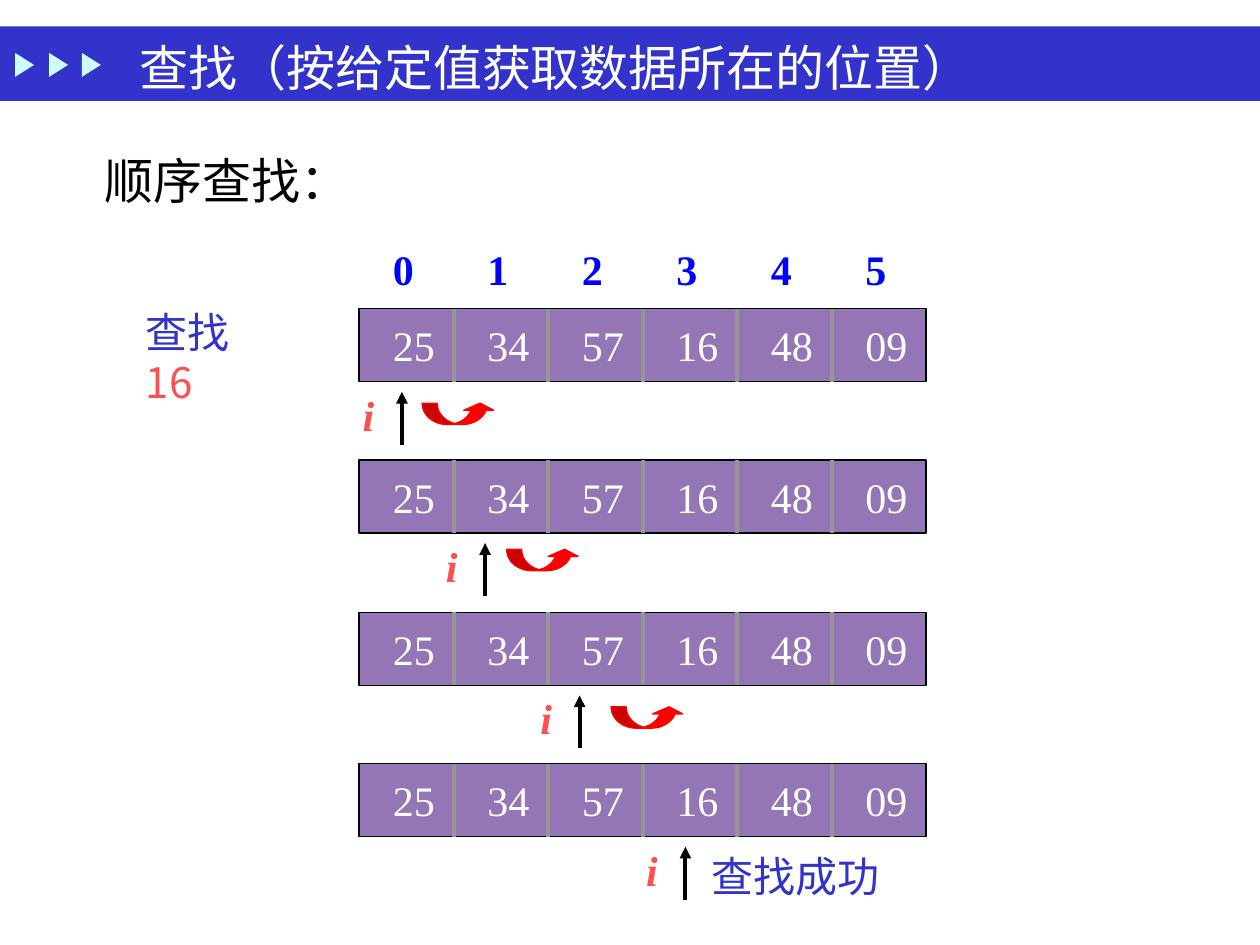
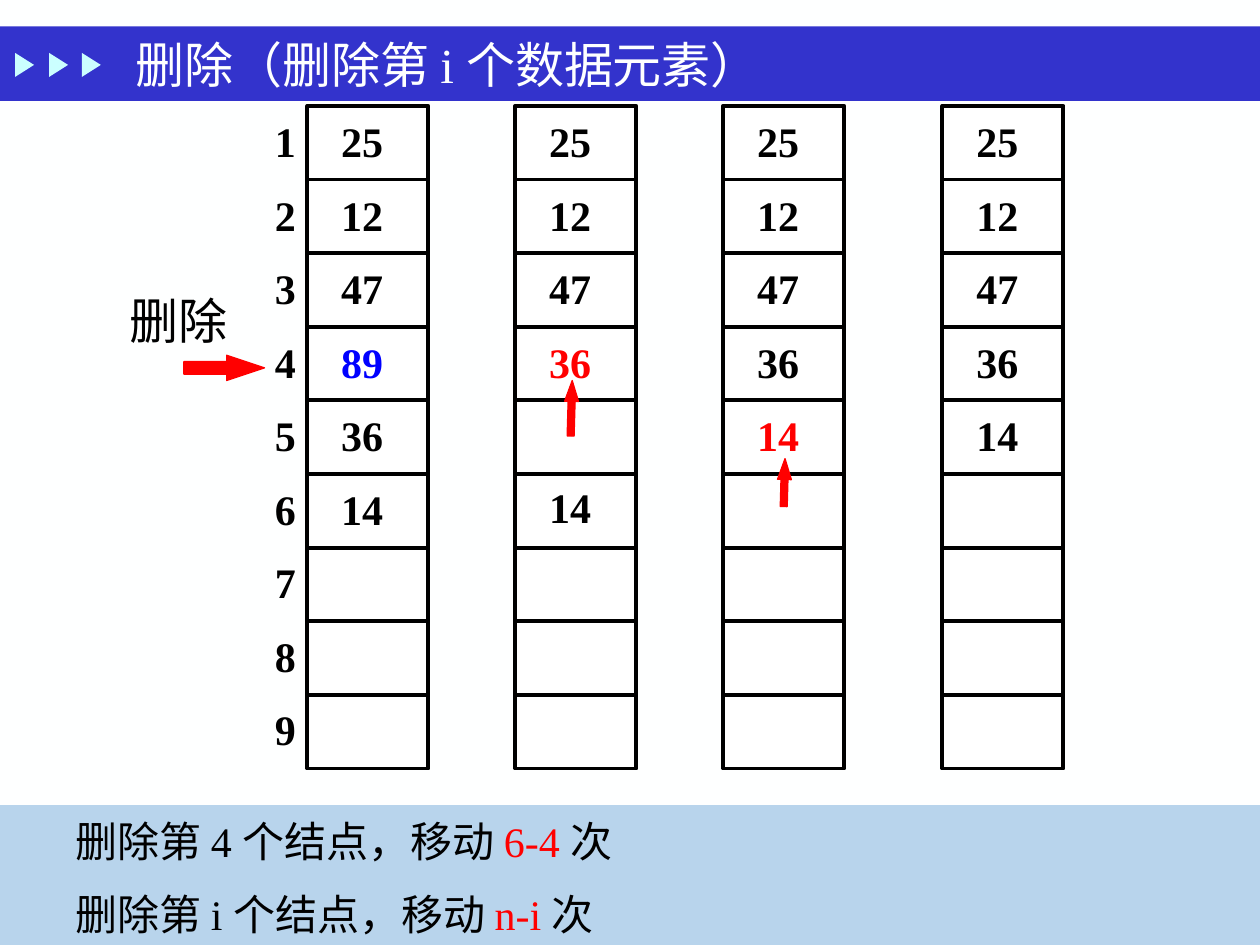
from lxml import etree
from pptx import Presentation
from pptx import util as u
from pptx.dml.color import RGBColor
from pptx.enum import shapes, text
from pptx.oxml import ns

SCALE = 9144
WHITE, BLACK, RED, BLUE = "FEFFFF", "000000", "FF0000", "0000FF"
BAND, MARK, CORAL, GREY = "3333CC", "CBFFFF", "FF5050", "969696"
PURPLE, PALE = "9476B6", "B8D4EC"
SERIF, SANS = "Times New Roman", "Noto Sans CJK SC"
LINE_PITCH, SPACE = 40.9, 13.2
KIND = shapes.MSO_SHAPE


def px(length):
    return u.Emu(round(length * SCALE))


def rgb(value):
    return RGBColor.from_string(value)


class Board:
    """Hold the shared style and draw elements on the current slide."""

    def __init__(self):
        self.deck = Presentation()
        self.deck.slide_width, self.deck.slide_height = px(1000), px(750)
        self.page = None

    def new_page(self, title, left, top):
        self.page = self.deck.slides.add_slide(self.deck.slide_layouts[6])
        background = self.page.background.fill
        background.solid()
        background.fore_color.rgb = rgb(WHITE)
        self.shape(KIND.RECTANGLE, 0, 21, 1000, 59, BAND)
        for mark_left in (10, 37, 63):
            mark = self.shape(KIND.ISOSCELES_TRIANGLE, mark_left, 44, 19, 15, MARK)
            mark.rotation = 90
        self.text(left, top, 800, 56, [title], 28, WHITE, middle=True)

    def shape(self, kind, left, top, width, height, fill, line=None, weight=0.75, adjust=()):
        shape = self.page.shapes.add_shape(kind, px(left), px(top), px(width), px(height))
        shape.shadow.inherit = False
        shape.fill.solid()
        shape.fill.fore_color.rgb = rgb(fill)
        if line:
            shape.line.color.rgb = rgb(line)
            shape.line.width = u.Pt(weight)
        else:
            shape.line.fill.background()
        for index, value in enumerate(adjust):
            shape.adjustments[index] = value
        return shape

    def line(self, start, end, color, arrow=False):
        line = self.page.shapes.add_connector(
            shapes.MSO_CONNECTOR.STRAIGHT, *(px(value) for value in (*start, *end)))
        line.line.color.rgb = rgb(color)
        line.line.width = u.Pt(2.25)
        if arrow:
            etree.SubElement(line.line._get_or_add_ln(), ns.qn("a:tailEnd"), type="triangle")
        etree.SubElement(line._element.spPr, ns.qn("a:effectLst"))

    def paragraph(self, para, spans, size, color, font=SERIF, bold=False, italic=False):
        spans = [(spans, color)] if isinstance(spans, str) else spans
        para.font.size, para.font.name = u.Pt(size), font
        para.font.bold, para.font.italic = bold, italic
        para.font.color.rgb = rgb(color)
        for content, span_color in spans:
            span = para.add_run()
            span.text = content
            if span_color != color:
                span.font.color.rgb = rgb(span_color)

    def text(self, left, top, width, height, paras, size, color, middle=False,
             wrap=True, center=False, spaces=None, tabs=(), **style):
        box = self.page.shapes.add_textbox(px(left), px(top), px(width), px(height))
        frame = box.text_frame
        frame.word_wrap = wrap
        if middle:
            frame.vertical_anchor = text.MSO_ANCHOR.MIDDLE
        for index, spans in enumerate(paras):
            para = frame.add_paragraph() if index else frame.paragraphs[0]
            if center:
                para.alignment = text.PP_ALIGN.CENTER
            if spaces and index:
                para.space_before = u.Pt(spaces[index])
            if tabs:
                stops = etree.SubElement(para._p.get_or_add_pPr(), ns.qn("a:tabLst"))
                for stop in tabs:
                    etree.SubElement(stops, ns.qn("a:tab"), pos=str(px(stop)), algn="l")
            self.paragraph(para, spans, size, color, **style)
        return box

    def cell_text(self, top, values, color, bold=False):
        stops = [75 * index for index in range(1, len(values))]
        self.text(302, top, 449, 51, ["\t".join(values)], 24, color, tabs=stops, bold=bold)

    def array_row(self, top, values):
        self.shape(KIND.RECTANGLE, 285, top, 450, 58, PURPLE, BLACK)
        self.cell_text(top + 4, values, WHITE)
        for index in range(1, len(values)):
            x = 285 + 75 * index
            self.line((x, top), (x, top + 58), GREY)

    def pointer(self, x, top):
        self.line((x, top + 108), (x, top + 66), BLACK, arrow=True)
        self.text(x - 41, top + 59, 30, 51, ["i"], 24, CORAL, wrap=False, bold=True, italic=True)

    def number_column(self, left, values, accents=None):
        accents = accents or {}
        paras, spaces, gap = [], [], SPACE
        for value in values:
            if value is None:
                gap += LINE_PITCH
                continue
            paras.append([(str(value), accents.get(value, BLACK))])
            spaces.append(gap)
            gap = SPACE
        self.text(left, 87, 87, 353, paras, 24, BLACK, center=True, spaces=spaces, bold=True)

    def storage(self, left, values, accents=None):
        self.shape(KIND.RECTANGLE, left, 84, 96, 526, "FFFFFF", BLACK, 2.25)
        for index in range(1, 9):
            y = 84 + 526 * index / 9
            self.line((left, y), (left + 96, y), BLACK)
        self.number_column(left, values, accents)

    def move_up(self, left, top, height):
        arrow = self.shape(KIND.DOWN_ARROW, left, top, 11, height, RED, RED, adjust=(0.5, 1.5))
        arrow.rotation = 181.6

    def summary(self, paras):
        band = self.shape(KIND.RECTANGLE, 0, 639, 1000, 111, PALE)
        frame = band.text_frame
        frame.vertical_anchor = text.MSO_ANCHOR.TOP
        frame.margin_left, frame.margin_top = px(60), px(8)
        for index, spans in enumerate(paras):
            para = frame.add_paragraph() if index else frame.paragraphs[0]
            para.alignment = text.PP_ALIGN.LEFT
            if index:
                para.space_before = u.Pt(SPACE)
            self.paragraph(para, spans, 24, BLACK)


def search_page(board):
    board.new_page("查找（按给定值获取数据所在的位置）", 101, 25)
    board.text(73, 101, 220, 83, ["顺序查找："], 28, BLACK, middle=True)
    board.cell_text(188, "012345", BLUE, bold=True)
    board.text(106, 238, 137, 90, ["查找", [("16", CORAL)]], 24, BAND, font=SANS)
    values = ["25", "34", "57", "16", "48", "09"]
    tops = [round(245 + 361 * step / 3) for step in range(4)]
    for top, x in zip(tops, (319, 385, 460, 544)):
        board.array_row(top, values)
        board.pointer(x, top)
    for left, top in ((335, 320), (402, 436), (485, 561)):
        board.shape(KIND.CURVED_UP_ARROW, left, top, 58, 17, RED, RED, adjust=(0.7, 1.4, 0.333))
    board.text(555, 670, 155, 51, ["查找成功"], 24, BAND, wrap=False)


def delete_page(board):
    board.new_page("删除（删除第 i 个数据元素）", 98, 23)
    board.storage(244, [25, 12, 47, 89, 36, 14], {89: BLUE})
    board.number_column(183, range(1, 10))
    board.storage(409, [25, 12, 47, 36, None, 14], {36: RED})
    board.storage(574, [25, 12, 47, 36, 14], {14: RED})
    board.storage(748, [25, 12, 47, 36, 14])
    board.move_up(448, 302, 44)
    board.move_up(617, 364, 38)
    board.shape(KIND.RIGHT_ARROW, 146, 282, 64, 20, RED, RED, adjust=(0.5, 1.5))
    board.text(85, 226, 114, 57, ["删除"], 28, BLACK, center=True)
    board.summary([
        [(f"删除第 {node} 个结点，移动 ", BLACK), (f"{moves} ", RED), ("次", BLACK)]
        for node, moves in (("4", "6-4"), ("i", "n-i"))])


def main():
    board = Board()
    search_page(board)
    delete_page(board)
    board.deck.save("out.pptx")


if __name__ == "__main__":
    main()
